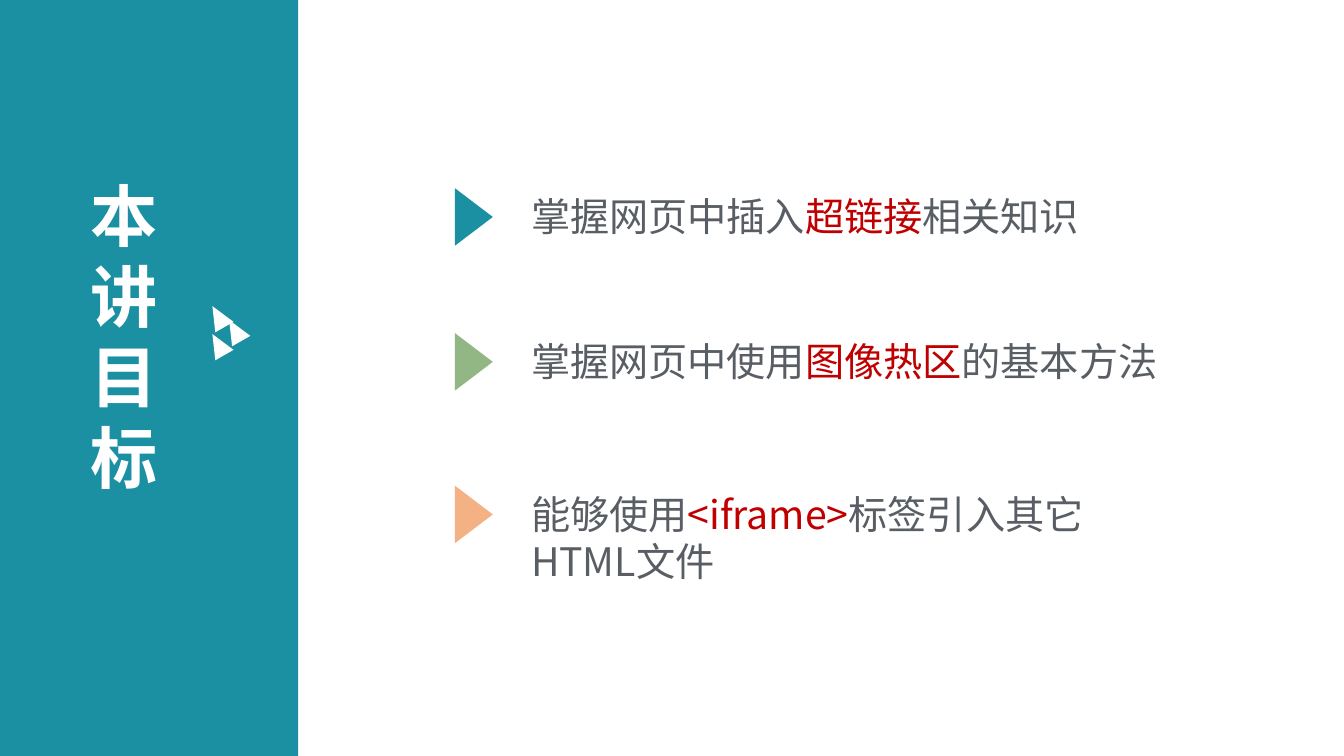
import pptx
import pptx.util
import pptx.dml.color
import pptx.enum.shapes
import pptx.enum.text

Pt = pptx.util.Pt
RGBColor = pptx.dml.color.RGBColor
SHAPES = pptx.enum.shapes.MSO_SHAPE

TEAL = RGBColor(0x1B, 0x90, 0xA2)
GREEN = RGBColor(0x93, 0xB7, 0x84)
ORANGE = RGBColor(0xF4, 0xB1, 0x83)
WHITE = RGBColor(0xFF, 0xFF, 0xFF)
GREY = RGBColor(0x59, 0x5E, 0x64)
RED = RGBColor(0xC0, 0x00, 0x00)
FONT = "Noto Sans CJK SC"

HEADING = "本讲目标"
GOALS = [
    (134, 428, 41, TEAL, ("掌握网页中插入", "超链接", "相关知识")),
    (237.5, 485, 41, GREEN, ("掌握网页中使用", "图像热区", "的基本方法")),
    (346.5, 467, 75, ORANGE, ("能够使用", "<iframe>", "标签引入其它HTML文件")),
]
ARROW_PIECES = [(148.5, 217.5), (148.5, 237.5), (160.5, 227.5)]
PIECE_SIZE = (15, 17.25)
MARKER_SIZE = (41, 27)
MARKER_CENTRE = 331.5
GOAL_LEFT = 372.25
MARKER_DROP = 21
LINE_RATIO = 1.2

deck = pptx.Presentation()
deck.slide_width, deck.slide_height = Pt(960), Pt(540)
slide = deck.slides.add_slide(deck.slide_layouts[6])


def add_filled(kind, left, top, width, height, colour, rotation=0):
    shape = slide.shapes.add_shape(kind, Pt(left), Pt(top), Pt(width), Pt(height))
    shape.shadow.inherit = False
    shape.fill.solid()
    shape.fill.fore_color.rgb = colour
    shape.line.fill.background()
    shape.rotation = rotation


def add_words(left, top, width, height, parts, size, bold=False):
    frame = slide.shapes.add_textbox(Pt(left), Pt(top), Pt(width), Pt(height)).text_frame
    frame.word_wrap = True
    frame.auto_size = pptx.enum.text.MSO_AUTO_SIZE.SHAPE_TO_FIT_TEXT
    paragraph = frame.paragraphs[0]
    paragraph.line_spacing = Pt(size * LINE_RATIO)
    for words, colour in parts:
        run = paragraph.add_run()
        run.text = words
        for name, value in {"name": FONT, "size": Pt(size), "bold": bold}.items():
            setattr(run.font, name, value)
        run.font.color.rgb = colour
        east_asian = pptx.oxml.xmlchemy.OxmlElement("a:ea")
        east_asian.set("typeface", FONT)
        run.font._element.find(pptx.oxml.ns.qn("a:latin")).addnext(east_asian)


add_filled(SHAPES.RECTANGLE, 0, 0, 213, 540, TEAL)
add_words(57.5, 121, 94, 240, [(HEADING, WHITE)], 48, True)
for left, top in ARROW_PIECES:
    add_filled(SHAPES.ISOSCELES_TRIANGLE, left, top, *PIECE_SIZE, WHITE, 330.2)

for top, width, height, colour, parts in GOALS:
    base, depth = MARKER_SIZE
    add_filled(SHAPES.ISOSCELES_TRIANGLE, MARKER_CENTRE + 7 - base / 2,
               top + MARKER_DROP - depth / 2, base, depth, colour, 90)
    add_words(GOAL_LEFT, top, width, height, zip(parts, (GREY, RED, GREY)), 28)

deck.save("out.pptx")
